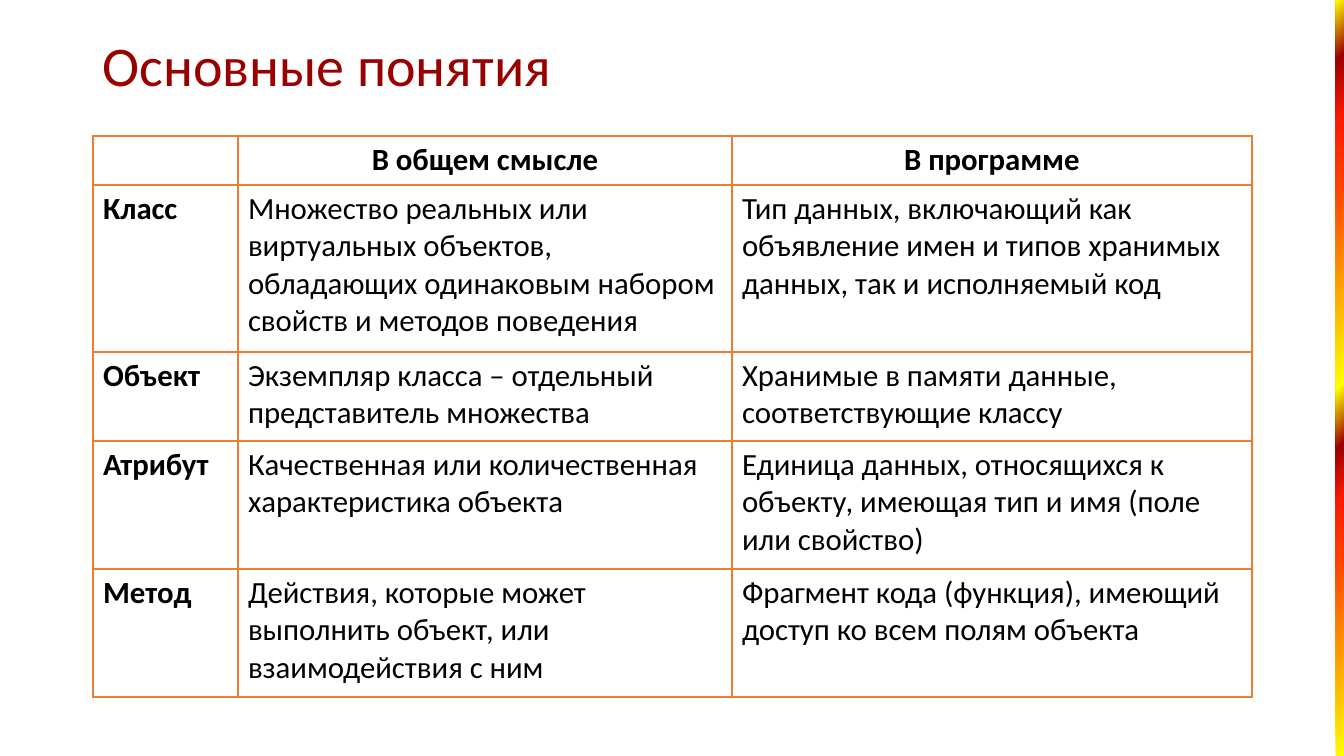
from lxml import etree
from pptx import Presentation
from pptx.dml.color import RGBColor
from pptx.enum.shapes import MSO_SHAPE
from pptx.enum.text import MSO_ANCHOR, PP_ALIGN
from pptx.oxml import parse_xml
from pptx.oxml.ns import nsdecls, qn
from pptx.util import Pt

RECT = MSO_SHAPE.RECTANGLE
MIDDLE = MSO_ANCHOR.MIDDLE
CENTER, LEFT = PP_ALIGN.CENTER, PP_ALIGN.LEFT
W, H = 1344, 756
SCALE = 12192000 / W
COLORS = {"title": "990000", "text": "000000", "border": "ED7D31",
          "yellow": "FFFF00", "orange": "FF3D00", "red": "FF1900", "dark": "990000"}
STRIP_STOPS = [(0, "yellow"), (27, "orange"), (34, "red"), (41, "dark"), (49, "yellow"),
               (76, "orange"), (84, "red"), (92, "dark"), (100, "yellow")]
COLUMNS = [145, 494, 520]
ROWS = [49, 167, 89, 128, 128]
TERMS = [
    ["", "В общем смысле", "В программе"],
    ["Класс",
     "Множество реальных или виртуальных объектов, обладающих одинаковым набором "
     "свойств и методов поведения",
     "Тип данных, включающий как объявление имен и типов хранимых данных, "
     "так и исполняемый код"],
    ["Объект",
     "Экземпляр класса – отдельный представитель множества",
     "Хранимые в памяти данные, соответствующие классу"],
    ["Атрибут",
     "Качественная или количественная характеристика объекта",
     "Единица данных, относящихся к объекту, имеющая тип и имя (поле или свойство)"],
    ["Метод",
     "Действия, которые может выполнить объект, или взаимодействия с ним",
     "Фрагмент кода (функция), имеющий доступ ко всем полям объекта"],
]


def px(n):
    return round(n * SCALE)


def add_text(p, text, color, **font):
    r = p.add_run()
    r.text = text
    r.font.color.rgb = RGBColor.from_string(COLORS[color])
    for name, value in {"name": "Calibri", **font}.items():
        setattr(r.font, name, value)


prs = Presentation()
prs.slide_width, prs.slide_height = px(W), px(H)
s = prs.slides.add_slide(prs.slide_layouts[6])

# Gradient strip along the right edge
strip = s.shapes.add_shape(RECT, px(W - 8), 0, px(8), px(H))
strip.shadow.inherit = False
strip.line.fill.background()
strip.fill.gradient()
grad = strip.fill._xPr.find(qn("a:gradFill"))
stops = grad.find(qn("a:gsLst"))
for stop in list(stops):
    stops.remove(stop)
for pos, color in STRIP_STOPS:
    gs = etree.SubElement(stops, qn("a:gs"), pos=str(pos * 1000))
    etree.SubElement(gs, qn("a:srgbClr"), val=COLORS[color])
grad.find(qn("a:lin")).set("ang", str(225 * 60000))

# Title
tf = s.shapes.add_textbox(px(93), px(15), px(1159), px(107)).text_frame
tf.word_wrap = True
tf.vertical_anchor = MIDDLE
p = tf.paragraphs[0]
p.line_spacing = 0.9
add_text(p, "Основные понятия", "title", size=Pt(40))

# Table of terms
table = s.shapes.add_table(len(ROWS), len(COLUMNS), px(93), px(136),
                           px(sum(COLUMNS)), px(sum(ROWS))).table
table.first_row = table.horz_banding = False
for column, width in zip(table.columns, COLUMNS):
    column.width = px(width)
for row, height in zip(table.rows, ROWS):
    row.height = px(height)

for i, texts in enumerate(TERMS):
    for j, text in enumerate(texts):
        cell = table.cell(i, j)
        cell.fill.background()
        p = cell.text_frame.paragraphs[0]
        p.alignment = CENTER if i == 0 else LEFT
        if text:
            add_text(p, text, "text", size=Pt(22), bold=i == 0 or j == 0)
        header_line = {"B": 2} if i == 0 else {"T": 2} if i == 1 else {}
        for k, side in enumerate("LRTB"):
            width = Pt(header_line.get(side, 1))
            cell._tc.get_or_add_tcPr().insert(k, parse_xml(
                f'<a:ln{side} {nsdecls("a")} w="{width}"><a:solidFill>'
                f'<a:srgbClr val="{COLORS["border"]}"/></a:solidFill></a:ln{side}>'))

prs.save("out.pptx")
